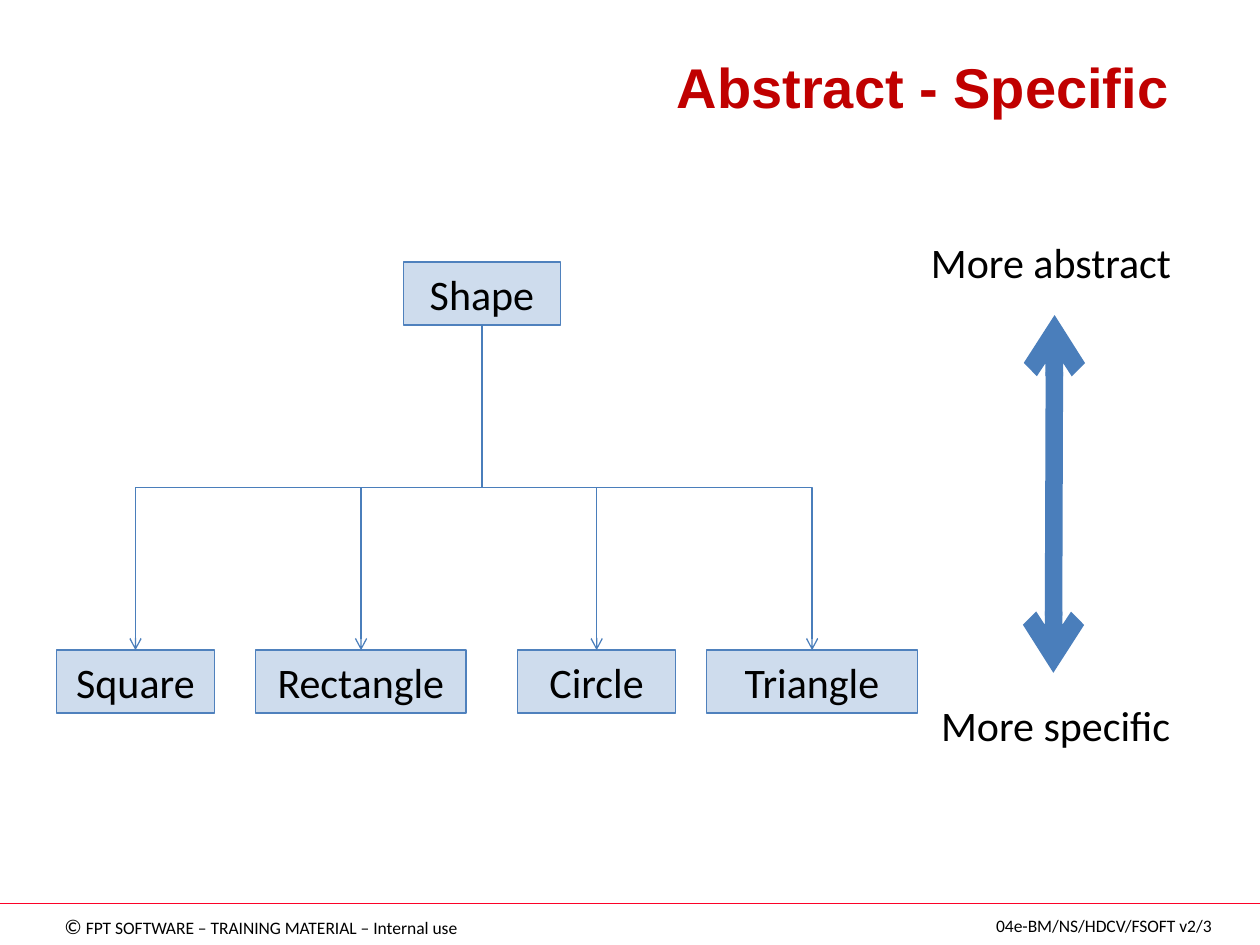
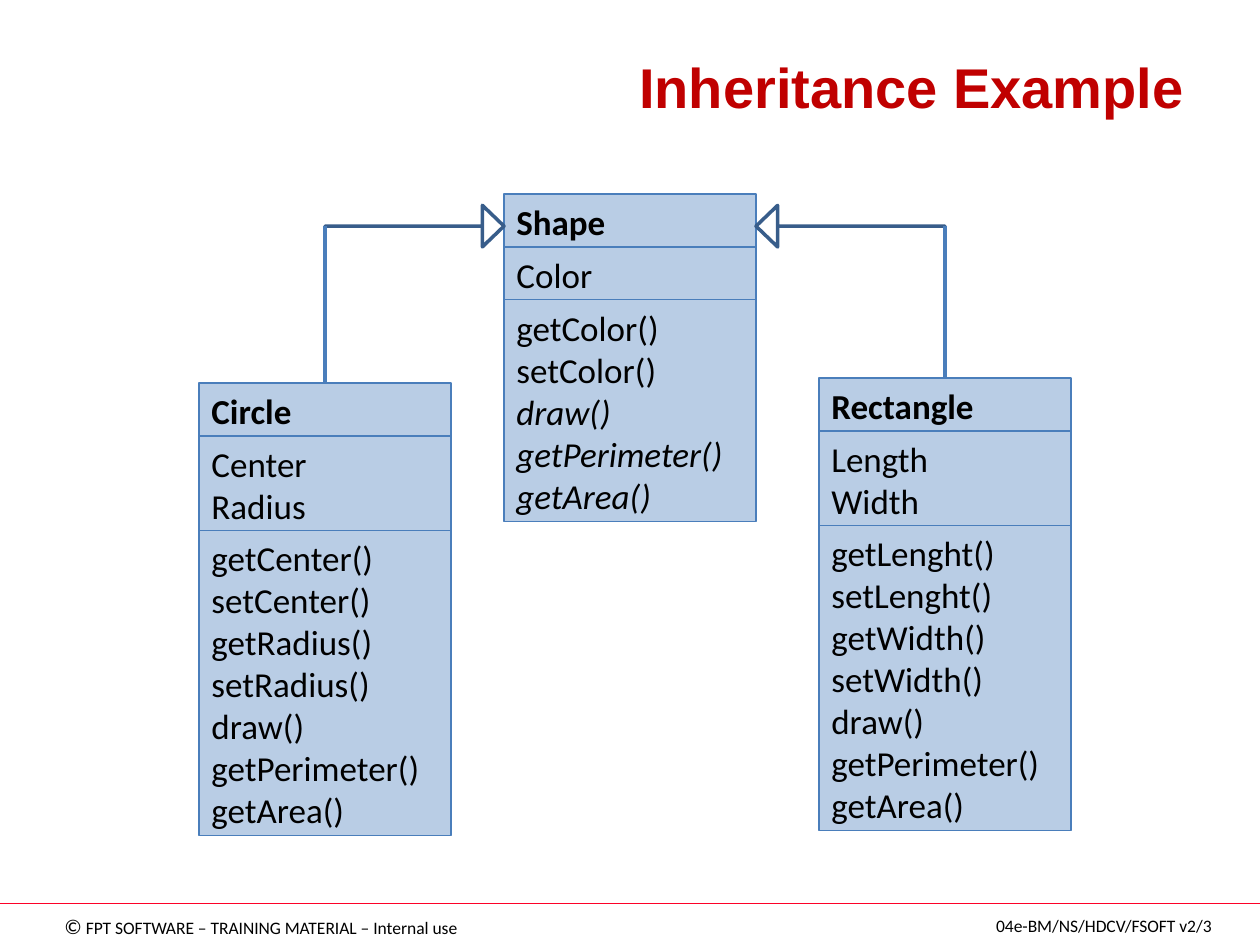
from lxml import etree
from pptx import Presentation
from pptx.dml.color import RGBColor
from pptx.enum.shapes import MSO_CONNECTOR, MSO_SHAPE
from pptx.enum.text import MSO_ANCHOR, MSO_AUTO_SIZE, PP_ALIGN
from pptx.oxml.ns import qn
from pptx.util import Inches, Pt

BLACK = RGBColor(0x00, 0x00, 0x00)
TITLE_RED = RGBColor(0xC0, 0x00, 0x00)
RULE_RED = RGBColor(0xFC, 0x01, 0x28)
PALE_BLUE = RGBColor(0xB9, 0xCD, 0xE5)
BORDER_BLUE = RGBColor(0x4F, 0x81, 0xBD)
LINE_BLUE = RGBColor(0x4A, 0x7E, 0xBB)
ARROW_BLUE = RGBColor(0x38, 0x5D, 0x8A)

TITLE_FONT, BODY_FONT = "Arial", "Calibri"
STRAIGHT, ELBOW = MSO_CONNECTOR.STRAIGHT, MSO_CONNECTOR.ELBOW
RECTANGLE, RIGHT_ARROW = MSO_SHAPE.RECTANGLE, MSO_SHAPE.RIGHT_ARROW
TOP, MIDDLE, BOTTOM = MSO_ANCHOR.TOP, MSO_ANCHOR.MIDDLE, MSO_ANCHOR.BOTTOM
LEFT, CENTER, RIGHT = PP_ALIGN.LEFT, PP_ALIGN.CENTER, PP_ALIGN.RIGHT
FIT_SHAPE = MSO_AUTO_SIZE.SHAPE_TO_FIT_TEXT
TOP_SIDE, BOTTOM_SIDE = 0, 2

SLIDE_W, SLIDE_H = 10, 7.5
LINE_H, INSETS_H = 0.33, 0.1      # one 20 pt line, and the insets around a text
OVERLAP = 0.02                    # compartments of a class share their border


def box_of(left, top, width, height):
    return Inches(left), Inches(top), Inches(width), Inches(height)


# ---- Text and line helpers ----
def add_run(paragraph, text, size, color=BLACK, font=BODY_FONT, bold=False, italic=False):
    run = paragraph.add_run()
    run.text = text
    run.font.name, run.font.size = font, Pt(size)
    run.font.bold, run.font.italic = bold, italic
    run.font.color.rgb = color


def add_label(slide, box, runs, align=LEFT, anchor=TOP):
    """One unwrapped line made of (text, size) runs."""
    frame = slide.shapes.add_textbox(*box_of(*box)).text_frame
    frame.word_wrap = False
    frame.auto_size = FIT_SHAPE
    frame.vertical_anchor = anchor
    frame.paragraphs[0].alignment = align
    for text, size in runs:
        add_run(frame.paragraphs[0], text, size)


def add_panel(slide, box, lines, size, border, align=LEFT, bold=False, italics=()):
    """A pale blue rectangle with one paragraph for each line."""
    panel = slide.shapes.add_shape(RECTANGLE, *box_of(*box))
    panel.shadow.inherit = False
    panel.fill.solid()
    panel.fill.fore_color.rgb = PALE_BLUE
    panel.line.color.rgb = border
    panel.line.width = Pt(0.75)
    frame = panel.text_frame
    frame.word_wrap = True
    frame.vertical_anchor = TOP
    for number, line in enumerate(lines):
        paragraph = frame.add_paragraph() if number else frame.paragraphs[0]
        paragraph.alignment = align
        add_run(paragraph, line, size, bold=bold, italic=line in italics)
    return panel


def add_line(slide, kind, start, end, color, width, arrows=()):
    line = slide.shapes.add_connector(kind, *box_of(*start, *end))
    line.line.color.rgb = color
    line.line.width = Pt(width)
    for arrow in arrows:
        etree.SubElement(line.line._get_or_add_ln(), qn(f"a:{arrow}"), type="arrow")
    etree.SubElement(line._element.spPr, qn("a:effectLst"))
    return line


# ---- Shared frame: title, rule and footers ----
def add_framed_slide(prs, title):
    slide = prs.slides.add_slide(prs.slide_layouts[6])
    add_line(slide, STRAIGHT, (0, 7.17), (SLIDE_W, 7.17), RULE_RED, 0.75)
    add_label(slide, (0.4, 7.2, 3.34, 0.3),
              [("©", 12), (" FPT SOFTWARE – TRAINING MATERIAL – Internal use", 10)],
              CENTER, MIDDLE)
    add_label(slide, (7.8, 7.21, 1.92, 0.27), [("04e-BM/NS/HDCV/FSOFT v2/3", 10)],
              CENTER, MIDDLE)
    frame = slide.shapes.add_textbox(*box_of(0.5, 0, 9, 1)).text_frame
    frame.word_wrap = True
    frame.vertical_anchor = BOTTOM
    frame.paragraphs[0].alignment = RIGHT
    add_run(frame.paragraphs[0], title, 32, TITLE_RED, TITLE_FONT, bold=True)
    return slide


# ---- Slide 1: tree of shapes and abstraction scale ----
def add_tree_node(slide, left, top, width, name):
    node = add_panel(slide, (left, top, width, 0.5), [name], 24, BORDER_BLUE, CENTER)
    fill_color = node._element.spPr.find(qn("a:solidFill"))[0]
    etree.SubElement(fill_color, qn("a:alpha"), val="69000")
    return node


def add_branch(slide, parent, child):
    """Elbow that leaves the parent downwards and enters the child from above."""
    start_x, start_y = parent.left + parent.width // 2, parent.top + parent.height
    end_x, end_y = child.left + child.width // 2, child.top
    branch = add_line(slide, ELBOW, (0, 0), (1, 1), LINE_BLUE, 0.75, ["tailEnd"])
    branch.begin_connect(parent, BOTTOM_SIDE)
    branch.end_connect(child, TOP_SIDE)
    # The elbow runs sideways by nature, so it is turned about its centre
    drop, spread = end_y - start_y, abs(end_x - start_x)
    branch.left = (start_x + end_x - drop) // 2
    branch.top = (start_y + end_y - spread) // 2
    branch.width, branch.height = drop, spread
    goes_right = end_x > start_x
    xfrm = branch._element.spPr.find(qn("a:xfrm"))
    xfrm.set("rot", "16200000" if goes_right else "5400000")
    xfrm.set("flipH", "1" if goes_right else "0")
    xfrm.set("flipV", "0")


def add_shape_tree(slide, left, top):
    parent = add_tree_node(slide, left + 2.75, top, 1.25, "Shape")
    kinds = [("Square", 0, 1.25), ("Rectangle", 1.58, 1.67),
             ("Circle", 3.66, 1.25), ("Triangle", 5.16, 1.67)]
    children = [add_tree_node(slide, left + offset, top + 3.08, width, name)
                for name, offset, width in kinds]
    for child in children:
        add_branch(slide, parent, child)


def add_abstraction_scale(slide, left, top):
    add_line(slide, STRAIGHT, (left + 1.08, top + 0.67), (left + 1.07, top + 3.51),
             LINE_BLUE, 10, ["headEnd", "tailEnd"])
    add_label(slide, (left, top, 2.12, 0.5), [("More abstract", 24)])
    add_label(slide, (left + 0.08, top + 3.67, 2.02, 0.5), [("More specific", 24)])


# ---- Slide 2: class diagram ----
def add_class(slide, left, top, name, fields, methods, abstract=()):
    """Stacked name, fields and methods; gives back the name compartment."""
    compartments = []
    for lines in ([name], fields, methods):
        height = INSETS_H + LINE_H * len(lines) + 0.01
        compartments.append(add_panel(slide, (left, top, 2, height), lines, 20, LINE_BLUE,
                                      bold=lines == [name], italics=abstract))
        top += height - OVERLAP
    return compartments[0]


def add_inheritance(slide, left, top, width, class_name, from_right=False):
    """Hollow arrow to the base class, with a line up from the derived class."""
    height = 0.33
    arrow = slide.shapes.add_shape(RIGHT_ARROW, *box_of(left, top, width, height))
    arrow.shadow.inherit = False
    arrow.adjustments[0], arrow.adjustments[1] = 0, 0.52
    arrow.rotation = 180 if from_right else 0
    arrow.fill.background()
    arrow.line.color.rgb = ARROW_BLUE
    arrow.line.width = Pt(2)
    bend = (left + width if from_right else left, top + height / 2)
    stem = add_line(slide, STRAIGHT, bend, (bend[0], bend[1] + 1), LINE_BLUE, 2)
    stem.end_connect(class_name, TOP_SIDE)


def add_class_diagram(slide, left, top):
    add_class(slide, left + 2.42, top, "Shape", ["Color"],
              ["getColor()", "setColor()", "draw()", "getPerimeter()", "getArea()"],
              abstract=["draw()", "getPerimeter()", "getArea()"])
    circle = add_class(slide, left, top + 1.5, "Circle", ["Center", "Radius"],
                       ["getCenter()", "setCenter()", "getRadius()", "setRadius()",
                        "draw()", "getPerimeter()", "getArea()"])
    rectangle = add_class(slide, left + 4.92, top + 1.46, "Rectangle", ["Length", "Width"],
                          ["getLenght()", "setLenght()", "getWidth()", "setWidth()",
                           "draw()", "getPerimeter()", "getArea()"])
    add_inheritance(slide, left + 1, top + 0.09, 1.42, circle)
    add_inheritance(slide, left + 4.42, top + 0.09, 1.5, rectangle, from_right=True)


def main():
    prs = Presentation()
    prs.slide_width, prs.slide_height = Inches(SLIDE_W), Inches(SLIDE_H)

    abstraction = add_framed_slide(prs, "Abstract - Specific ")
    add_shape_tree(abstraction, 0.45, 2.08)
    add_abstraction_scale(abstraction, 7.29, 1.83)

    inheritance = add_framed_slide(prs, "Inheritance Example")
    add_class_diagram(inheritance, 1.58, 1.54)

    prs.save("out.pptx")


if __name__ == "__main__":
    main()
